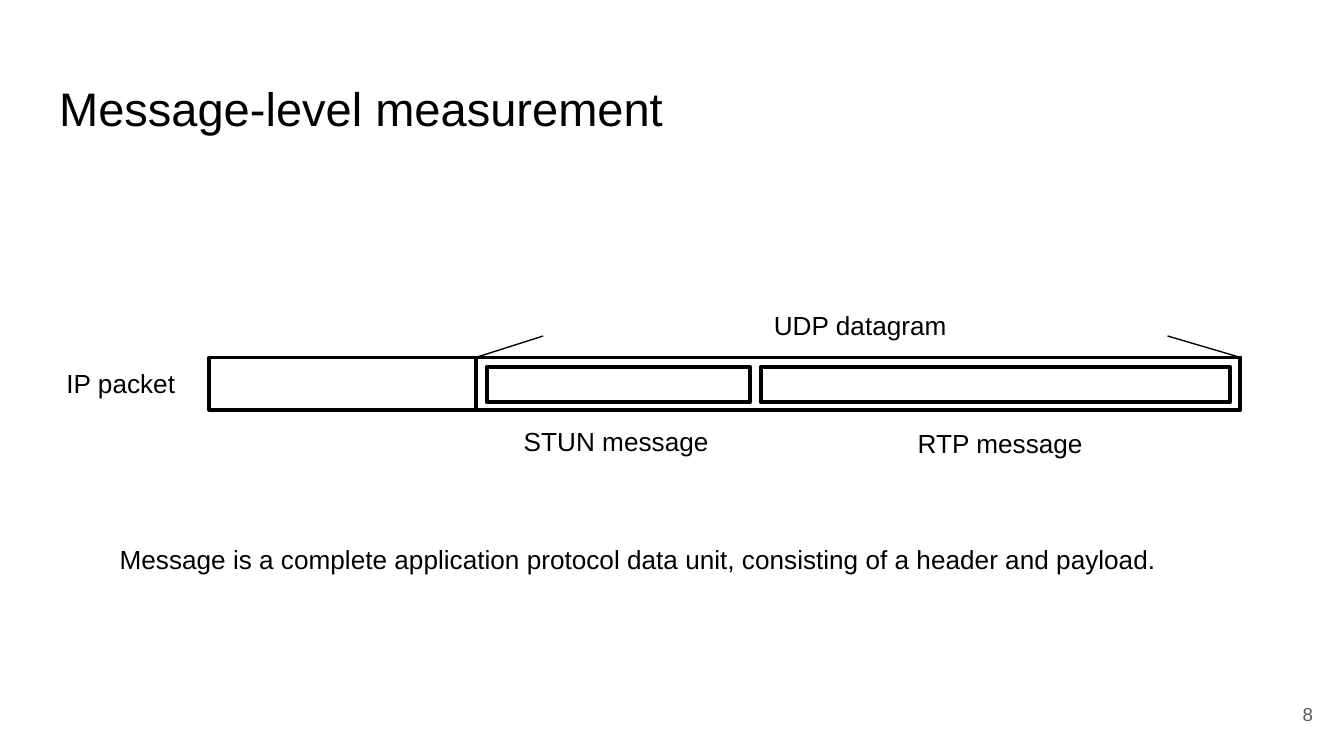
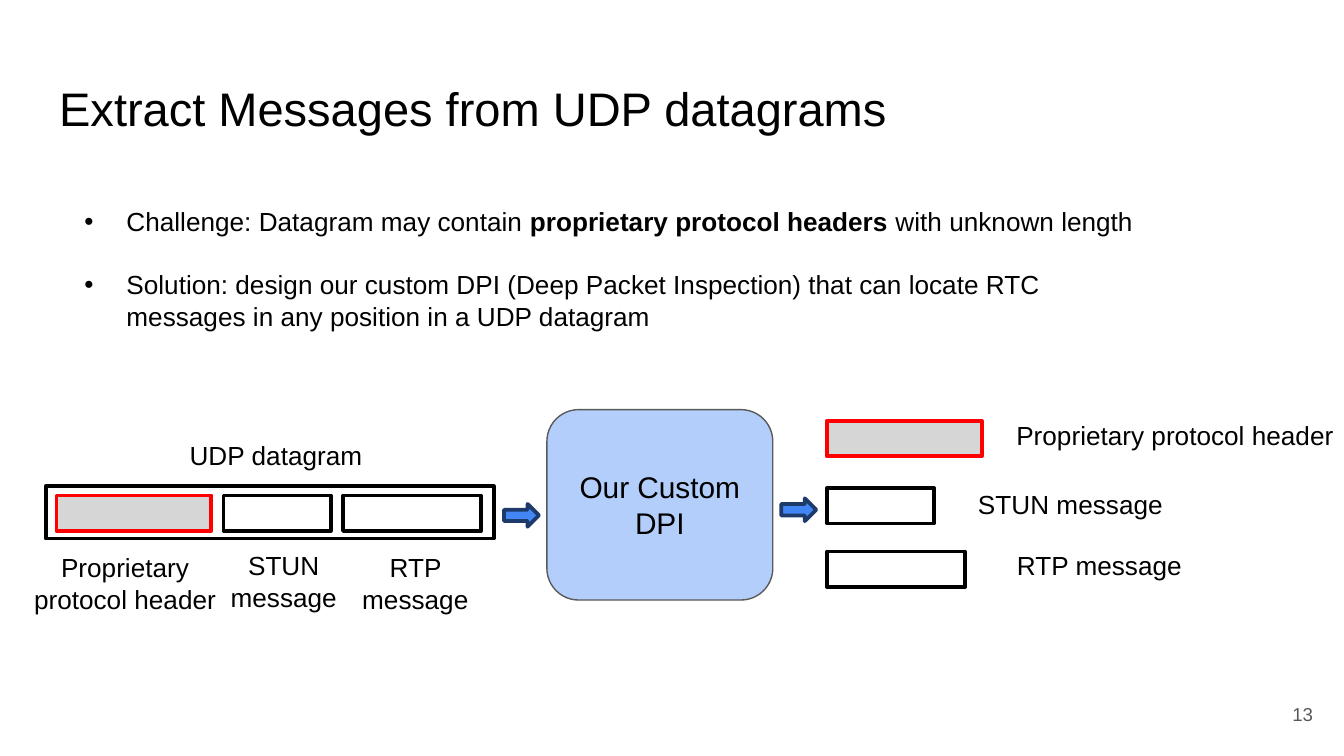
from lxml import etree
from pptx import Presentation
from pptx.dml.color import RGBColor
from pptx.enum.shapes import MSO_CONNECTOR, MSO_SHAPE
from pptx.enum.text import MSO_ANCHOR, MSO_AUTO_SIZE, PP_ALIGN
from pptx.oxml.ns import qn
from pptx.util import Pt

RECT, ROUND = MSO_SHAPE.RECTANGLE, MSO_SHAPE.ROUNDED_RECTANGLE
ARROW, LINE = MSO_SHAPE.RIGHT_ARROW, MSO_CONNECTOR.STRAIGHT
LEFT, MID, RIGHT = PP_ALIGN.LEFT, PP_ALIGN.CENTER, PP_ALIGN.RIGHT
TOP, CENTER = MSO_ANCHOR.TOP, MSO_ANCHOR.MIDDLE
FONT, BLACK, GRAY = "Arial", "000000", "595959"
RED, PALE = "FF0000", "D6D6D6"
BLUE, NAVY, SKY = "4285F4", "1D3A6B", "B3CEFB"
BAR, CELL, INSET = 28, 19, 5.75
HEADER, STUN, RTP = (83, RED, PALE), (57.5, BLACK, None), (74, BLACK, None)


def color(code):
    """Turn a hex string into a colour."""
    return RGBColor.from_string(code)


def place(shape, x, y, w, h):
    """Move and size a shape, in points."""
    shape.left, shape.top, shape.width, shape.height = map(Pt, (x, y, w, h))


def style(frame, size=14, align=LEFT, anchor=TOP, code=BLACK, pad=3.6):
    """Format the frame and all its runs."""
    frame.word_wrap = True
    frame.auto_size = MSO_AUTO_SIZE.NONE
    frame.vertical_anchor = anchor
    frame.margin_left = frame.margin_right = Pt(7.2)
    frame.margin_top = frame.margin_bottom = Pt(pad)
    for para in frame.paragraphs:
        para.alignment = align
        for run in para.runs:
            run.font.name, run.font.size = FONT, Pt(size)
            run.font.color.rgb = color(code)


def label(slide, text, x, y, w, h=24.5, **look):
    """Add a text box."""
    box = slide.shapes.add_textbox(Pt(x), Pt(y), Pt(w), Pt(h))
    box.text_frame.text = text
    style(box.text_frame, **look)


def block(slide, x, y, w, h, line=BLACK, fill=None, kind=RECT, width=2):
    """Add an outlined preset shape."""
    shape = slide.shapes.add_shape(kind, Pt(x), Pt(y), Pt(w), Pt(h))
    shape.shadow.inherit = False
    if fill:
        shape.fill.solid()
        shape.fill.fore_color.rgb = color(fill)
    else:
        shape.fill.background()
    shape.line.color.rgb = color(line)
    shape.line.width = Pt(width)
    return shape


def edge(slide, x, y, dx, dy):
    """Add a thin line from a corner."""
    line = slide.shapes.add_connector(LINE, Pt(x), Pt(y), Pt(x + dx), Pt(y + dy))
    line.line.color.rgb = color(BLACK)
    line.line.width = Pt(0.75)
    etree.SubElement(line._element.spPr, qn("a:effectLst"))


def base(deck, layout, title, number):
    """Start a slide with its title and number."""
    slide = deck.slides.add_slide(deck.slide_layouts[layout])
    head = slide.shapes.title
    place(head, 24.5, 35.5, 671, 45)
    head.text_frame.text = title
    style(head.text_frame, size=25.2, pad=7.2)
    label(slide, number, 667.5, 367, 43, 31, size=10, align=RIGHT,
          anchor=CENTER, code=GRAY, pad=7.2)
    return slide


def gram(slide, x, y, w, cells, gap):
    """Draw a datagram bar with its message cells."""
    block(slide, x, y, w, BAR)
    left = x + INSET
    for wide, line, fill in cells:
        block(slide, left, y + (BAR - CELL) / 2 + 0.5, wide, CELL, line, fill)
        left += wide + gap


def packet(slide, x, y, w):
    """Draw an IP packet whose payload is a datagram."""
    start = x + 143
    block(slide, x, y, w, BAR)
    gram(slide, start, y, x + w - start,
         [(141, BLACK, None), (251.5, BLACK, None)], 5.75)
    edge(slide, start, y, 36, -11.5)
    edge(slide, x + w, y, -39, -11.5)
    for text, dx, dy, wide in (
            ("IP packet", -83.5, 2, 74), ("UDP datagram", 295.5, -29.5, 108.5),
            ("STUN message", 161.5, 33, 115), ("RTP message", 372.5, 34, 104)):
        label(slide, text, x + dx, y + dy, wide)


def points(slide, x, y, w, h, items):
    """Fill the body with bullets; every second part is bold."""
    body = slide.placeholders[1]
    place(body, x, y, w, h)
    frame = body.text_frame
    for i, parts in enumerate(items):
        para = frame.paragraphs[0] if i == 0 else frame.add_paragraph()
        props = para._p.get_or_add_pPr()
        props.set("marL", str(Pt(22.5)))
        props.set("indent", str(-Pt(22.5)))
        tint = etree.SubElement(props, qn("a:buClr"))
        etree.SubElement(tint, qn("a:srgbClr")).set("val", BLACK)
        etree.SubElement(props, qn("a:buFont")).set("typeface", FONT)
        etree.SubElement(props, qn("a:buChar")).set("char", "•")
        para.space_before = Pt(17 if i else 0)
        for j, part in enumerate(parts):
            run = para.add_run()
            run.text = part
            run.font.bold = j % 2 == 1
    style(frame)


def source(slide, x, y):
    """Draw the datagram that goes in, with its labels."""
    gram(slide, x, y, 240, [HEADER, STUN, RTP], 6.5)
    label(slide, "UDP datagram", x + 70, y - 28.5, 108.5)
    for text, dx, wide in (("Proprietary protocol header", -18, 121),
                           ("STUN message", 89.5, 76), ("RTP message", 160, 76)):
        dy = 30.5 if text[0] == "S" else 31.5
        label(slide, text, x + dx, y + dy, wide, 41, align=MID)


def engine(slide, x, y, w, h):
    """Draw the inspection box between its two arrows."""
    box = block(slide, x, y, w, h, GRAY, SKY, ROUND, 0.75)
    box.text_frame.text = "Our Custom DPI"
    style(box.text_frame, size=16, align=MID, anchor=CENTER, pad=7.2)
    for dx, dy in ((-23, 50.5), (w + 4.5, 47.5)):
        block(slide, x + dx, y + dy, 18.75, 12.25, NAVY, BLUE, ARROW)


def output(slide, x, y):
    """Draw the extracted messages with their labels."""
    for (wide, line, fill), dy, text, dx, room, rise in (
            (HEADER, 0, "Proprietary protocol header", 91.5, 190, -4.5),
            (STUN, 36, "STUN message", 64, 133, -3.5),
            (RTP, 70, "RTP message", 84, 124, -4.5)):
        block(slide, x, y + dy, wide, CELL, line, fill)
        label(slide, text, x + dx, y + dy + rise, room, align=MID)


def main():
    """Build both slides."""
    deck = Presentation()
    deck.slide_width, deck.slide_height = Pt(720), Pt(405)

    first = base(deck, 5, "Message-level measurement", "8")
    packet(first, 112, 191.5, 552.5)
    label(first, "Message is a complete application protocol data unit, "
          "consisting of a header and payload.", 57, 287.5, 573)

    second = base(deck, 1, "Extract Messages from UDP datagrams", "13")
    points(second, 38, 106.5, 591, 92, [
        ("Challenge: Datagram may contain ", "proprietary protocol headers",
         " with unknown length"),
        ("Solution: design our custom DPI (Deep Packet Inspection) that can "
         "locate RTC messages in any position in a UDP datagram",)])
    source(second, 24.5, 260.5)
    engine(second, 293, 219.5, 121, 102)
    output(second, 443, 225.5)
    deck.save("out.pptx")


if __name__ == "__main__":
    main()
